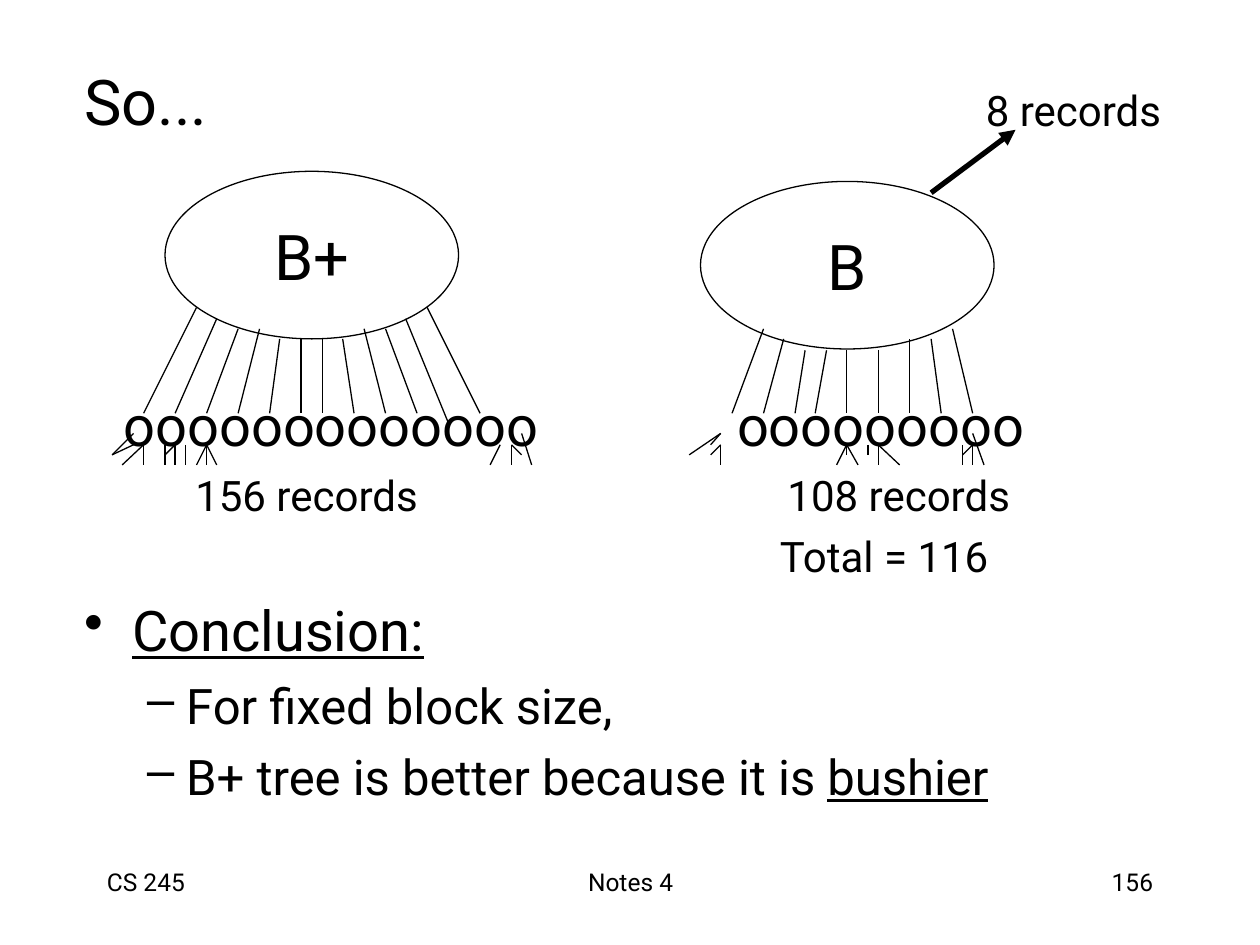
import pptx
import pptx.dml.color
import pptx.enum.shapes
import pptx.enum.text
import pptx.oxml.xmlchemy
import pptx.util
from dataclasses import dataclass
from typing import NamedTuple

Inches = pptx.util.Inches
Pt = pptx.util.Pt
ALIGN = pptx.enum.text.PP_ALIGN
MIDDLE = pptx.enum.text.MSO_ANCHOR.MIDDLE
BLACK = "000000"
WHITE = "FFFFFF"
FONT = "Roboto"
LEAF_TOP = 3.28


class Branch(NamedTuple):
    x: float
    y: float
    leaf_x: float
    leaf_y: float = LEAF_TOP


class Twigs(NamedTuple):
    x: float
    y: float
    tips: list[tuple[float, float]]


class Label(NamedTuple):
    text: str
    left: float
    top: float
    width: float
    height: float
    size: int = 24
    align: int = ALIGN.LEFT
    inset: float = 0


class Point(NamedTuple):
    text: str
    underlined: str
    level: int
    size: int
    before: int
    bullet: str
    indent: float
    hanging: float


@dataclass
class Tree:
    name: str
    left: float
    top: float
    leaves: Label
    branches: list[Branch]
    twigs: list[Twigs]


B_PLUS = Tree(
    "B+", 1.31, 1.36,
    Label("o" * 13, 0.98, 3.1, 3.6, 0.54, 32),
    [Branch(1.56, 2.44, 1.14), Branch(1.72, 2.53, 1.39), Branch(1.89, 2.61, 1.64),
     Branch(2.06, 2.61, 1.89), Branch(2.22, 2.69, 2.14), Branch(2.39, 2.69, 2.39),
     Branch(2.56, 2.69, 2.56), Branch(2.72, 2.69, 2.81), Branch(2.89, 2.61, 3.06),
     Branch(3.06, 2.61, 3.31), Branch(3.22, 2.53, 3.56, 3.36), Branch(3.39, 2.44, 3.81)],
    [Twigs(1.06, 3.44, [(0.89, 3.61)]),
     Twigs(1.06, 3.53, [(0.89, 3.61)]),
     Twigs(1.14, 3.53, [(0.97, 3.69), (1.14, 3.69)]),
     Twigs(1.31, 3.53, [(1.31, 3.69)]),
     Twigs(1.39, 3.53, [(1.39, 3.69), (1.31, 3.61)]),
     Twigs(1.47, 3.53, [(1.47, 3.69)]),
     Twigs(1.64, 3.53, [(1.56, 3.69), (1.64, 3.69), (1.72, 3.69)]),
     Twigs(3.97, 3.53, [(3.89, 3.69)]),
     Twigs(4.06, 3.53, [(4.06, 3.69), (4.14, 3.61)]),
     Twigs(4.14, 3.44, [(4.22, 3.69)])])

B_TREE = Tree(
    "B", 5.56, 1.44,
    Label("o" * 9, 5.85, 3.1, 2.6, 0.54, 32),
    [Branch(6.06, 2.61, 5.81), Branch(6.22, 2.69, 6.06), Branch(6.39, 2.78, 6.31),
     Branch(6.56, 2.78, 6.47), Branch(6.72, 2.78, 6.72), Branch(6.97, 2.78, 6.97),
     Branch(7.22, 2.69, 7.22), Branch(7.39, 2.69, 7.47), Branch(7.56, 2.61, 7.72)],
    [Twigs(5.72, 3.44, [(5.47, 3.61), (5.64, 3.53)]),
     Twigs(5.72, 3.53, [(5.72, 3.61), (5.64, 3.61), (5.72, 3.69)]),
     Twigs(6.72, 3.53, [(6.72, 3.61), (6.64, 3.69), (6.81, 3.69)]),
     Twigs(6.89, 3.53, [(6.89, 3.61)]),
     Twigs(6.97, 3.53, [(6.97, 3.69), (7.14, 3.69)]),
     Twigs(7.64, 3.53, [(7.64, 3.69)]),
     Twigs(7.72, 3.53, [(7.64, 3.61), (7.72, 3.69)]),
     Twigs(7.72, 3.44, [(7.81, 3.69)])])

LABELS = [
    Label("156 records", 1.55, 3.73, 2.2, 0.42),
    Label("108 records", 6.25, 3.73, 2.2, 0.42),
    Label("Total = 116", 6.19, 4.21, 2.2, 0.42),
    Label("8 records", 7.69, 0.62, 1.66, 0.5, 24, ALIGN.CENTER, 0.1),
    Label("CS 245", 0.75, 6.83, 2.08, 0.5, 14, ALIGN.LEFT, 0.1),
    Label("Notes 4", 3.42, 6.83, 3.17, 0.5, 14, ALIGN.CENTER, 0.1),
    Label("156", 7.17, 6.83, 2.08, 0.5, 14, ALIGN.RIGHT, 0.1),
]

POINTS = [
    Point("", "Conclusion:", 0, 32, 0, "•", 0.38, 0.38),
    Point("For fixed block size,", "", 1, 28, 7, "–", 0.81, 0.31),
    Point("B+ tree is better because it is ", "bushier", 1, 28, 7, "–", 0.81, 0.31),
]


def color(value: str) -> pptx.dml.color.RGBColor:
    return pptx.dml.color.RGBColor.from_string(value)


def add_element(parent, tag: str, **attributes: str) -> None:
    element = pptx.oxml.xmlchemy.OxmlElement(tag)
    for name, value in attributes.items():
        element.set(name, value)
    parent.append(element)


def set_font(font, size: int) -> None:
    for name, value in {"name": FONT, "size": Pt(size)}.items():
        setattr(font, name, value)
    font.color.rgb = color(BLACK)


def write(frame, text: str, size: int, align: int) -> None:
    frame.text = text
    paragraph = frame.paragraphs[0]
    paragraph.alignment = align
    set_font(paragraph.runs[0].font, size)


def draw_label(slide, label: Label) -> None:
    frame = slide.shapes.add_textbox(*map(Inches, label[1:5])).text_frame
    frame.word_wrap = True
    for side in ("margin_left", "margin_right"):
        setattr(frame, side, Inches(label.inset))
    for side in ("margin_top", "margin_bottom"):
        setattr(frame, side, Inches(label.inset / 2))
    write(frame, label.text, label.size, label.align)


def draw_line(slide, x1: float, y1: float, x2: float, y2: float, width: float = 0.75):
    line = slide.shapes.add_connector(
        pptx.enum.shapes.MSO_CONNECTOR.STRAIGHT, *map(Inches, (x1, y1, x2, y2)))
    line.line.color.rgb = color(BLACK)
    line.line.width = Pt(width)
    add_element(line._element.spPr, "a:effectLst")
    return line


def draw_tree(slide, tree: Tree) -> None:
    draw_label(slide, tree.leaves)
    root = slide.shapes.add_shape(
        pptx.enum.shapes.MSO_SHAPE.OVAL,
        *map(Inches, (tree.left, tree.top, 2.33, 1.33)))
    root.shadow.inherit = False
    root.fill.solid()
    root.fill.fore_color.rgb = color(WHITE)
    root.line.color.rgb = color(BLACK)
    root.line.width = Pt(0.75)
    root.text_frame.vertical_anchor = MIDDLE
    write(root.text_frame, tree.name, 36, ALIGN.CENTER)
    for branch in tree.branches:
        draw_line(slide, *branch)
    for twigs in tree.twigs:
        for tip in twigs.tips:
            draw_line(slide, twigs.x, twigs.y, *tip)


def write_point(paragraph, point: Point) -> None:
    paragraph.level = point.level
    paragraph.space_before = Pt(point.before)
    properties = paragraph._p.get_or_add_pPr()
    properties.set("marL", str(int(Inches(point.indent))))
    properties.set("indent", str(-int(Inches(point.hanging))))
    add_element(properties, "a:buChar", char=point.bullet)
    for text, underline in ((point.text, False), (point.underlined, True)):
        if text:
            run = paragraph.add_run()
            run.text = text
            set_font(run.font, point.size)
            run.font.underline = underline


def main() -> None:
    presentation = pptx.Presentation()
    presentation.slide_width, presentation.slide_height = Inches(10), Inches(7.5)
    slide = presentation.slides.add_slide(presentation.slide_layouts[5])

    # Title
    title = slide.shapes.title
    place = {"left": 0.57, "top": 0.4, "width": 8.5, "height": 0.79}
    for name, value in place.items():
        setattr(title, name, Inches(value))
    title.text_frame.vertical_anchor = MIDDLE
    write(title.text_frame, "So...", 36, ALIGN.LEFT)

    # Trees and their labels
    for tree in (B_PLUS, B_TREE):
        draw_tree(slide, tree)
    for label in LABELS:
        draw_label(slide, label)

    # Arrow to the records kept in the B root
    arrow = draw_line(slide, 7.39, 1.53, 8.06, 1.03, 3)
    add_element(arrow.line._get_or_add_ln(), "a:tailEnd", type="triangle")

    # Conclusion
    conclusion = slide.shapes.add_textbox(*map(Inches, (0.57, 4.68, 8.5, 1.99))).text_frame
    conclusion.word_wrap = True
    for index, point in enumerate(POINTS):
        write_point(conclusion.add_paragraph() if index else conclusion.paragraphs[0], point)

    presentation.save("out.pptx")


if __name__ == "__main__":
    main()
